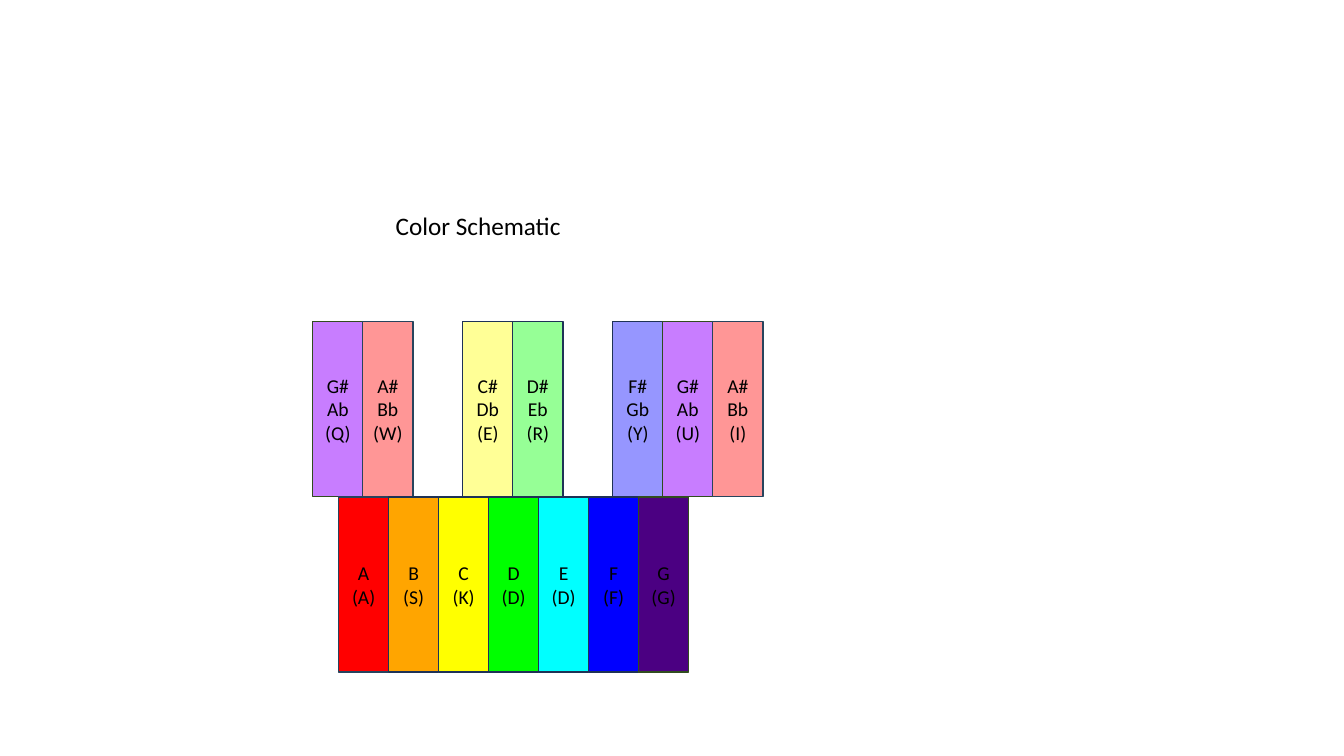
from pptx import Presentation
from pptx.dml.color import RGBColor
from pptx.enum.shapes import MSO_SHAPE
from pptx.enum.text import MSO_ANCHOR, MSO_AUTO_SIZE, PP_ALIGN
from pptx.util import Cm, Pt

RECT = MSO_SHAPE.RECTANGLE
TOP, MIDDLE = MSO_ANCHOR.TOP, MSO_ANCHOR.MIDDLE
CENTER = PP_ALIGN.CENTER
GROW = MSO_AUTO_SIZE.SHAPE_TO_FIT_TEXT

BLACK = RGBColor(0x00, 0x00, 0x00)
RED = RGBColor(0xFF, 0x00, 0x00)
ORANGE = RGBColor(0xFF, 0xA5, 0x00)
YELLOW = RGBColor(0xFF, 0xFF, 0x00)
GREEN = RGBColor(0x00, 0xFF, 0x00)
CYAN = RGBColor(0x00, 0xFF, 0xFF)
BLUE = RGBColor(0x00, 0x00, 0xFF)
INDIGO = RGBColor(0x4B, 0x00, 0x82)
PINK = RGBColor(0xFF, 0x96, 0x96)
CREAM = RGBColor(0xFF, 0xFF, 0x96)
MINT = RGBColor(0x96, 0xFF, 0x96)
SKY = RGBColor(0x96, 0x96, 0xFF)
LILAC = RGBColor(0xC8, 0x7D, 0xFF)
STEEL = RGBColor(0x28, 0x44, 0x5D)
NAVY = RGBColor(0x1E, 0x32, 0x56)
MOSS = RGBColor(0x31, 0x4C, 0x1F)

FONT = "Calibri"
TITLE = "Color Schematic"
SHARPS = [
    (0, "G#\nAb\n(Q)", LILAC, MOSS),
    (1, "A#\nBb\n(W)", PINK, STEEL),
    (3, "C#\nDb\n(E)", CREAM, NAVY),
    (4, "D#\nEb\n(R)", MINT, NAVY),
    (6, "F#\nGb\n(Y)", SKY, NAVY),
    (7, "G#\nAb\n(U)", LILAC, MOSS),
    (8, "A#\nBb\n(I)", PINK, STEEL),
]
NOTES = [
    (0, "A\n(A)", RED, STEEL),
    (1, "B\n(S)", ORANGE, NAVY),
    (2, "C\n(K)", YELLOW, NAVY),
    (3, "D\n(D)", GREEN, NAVY),
    (4, "E\n(D)", CYAN, NAVY),
    (5, "F\n(F)", BLUE, NAVY),
    (6, "G\n(G)", INDIGO, MOSS),
]
WIDTH, HEIGHT, PITCH = 1.27, 4.42, 1.26
ROWS = [(7.88, 8.1, SHARPS), (8.53, 8.1 + HEIGHT, NOTES)]


def style(frame, size, anchor):
    frame.vertical_anchor = anchor
    for para in frame.paragraphs:
        para.alignment = CENTER
        for run in para.runs:
            run.font.name = FONT
            run.font.size = Pt(size)
            run.font.color.rgb = BLACK


def add_key(slide, left, top, label, fill, edge):
    key = slide.shapes.add_shape(RECT, Cm(left), Cm(top), Cm(WIDTH), Cm(HEIGHT))
    key.shadow.inherit = False
    key.fill.solid()
    key.fill.fore_color.rgb = fill
    key.line.color.rgb = edge
    key.line.width = Pt(1)
    frame = key.text_frame
    frame.margin_left = frame.margin_right = 0
    frame.text = label
    style(frame, 14, MIDDLE)


def main():
    deck = Presentation()
    deck.slide_width, deck.slide_height = Cm(33.87), Cm(19.05)
    slide = deck.slides.add_slide(deck.slide_layouts[5])

    title = slide.shapes.title
    title.left, title.top = Cm(7.16), Cm(5.18)
    title.width, title.height = Cm(9.78), Cm(1.03)
    title.text_frame.text = TITLE
    title.text_frame.auto_size = GROW
    style(title.text_frame, 18, TOP)

    for left, top, keys in ROWS:
        for slot, label, fill, edge in keys:
            add_key(slide, left + slot * PITCH, top, label, fill, edge)

    deck.save("out.pptx")


if __name__ == "__main__":
    main()
